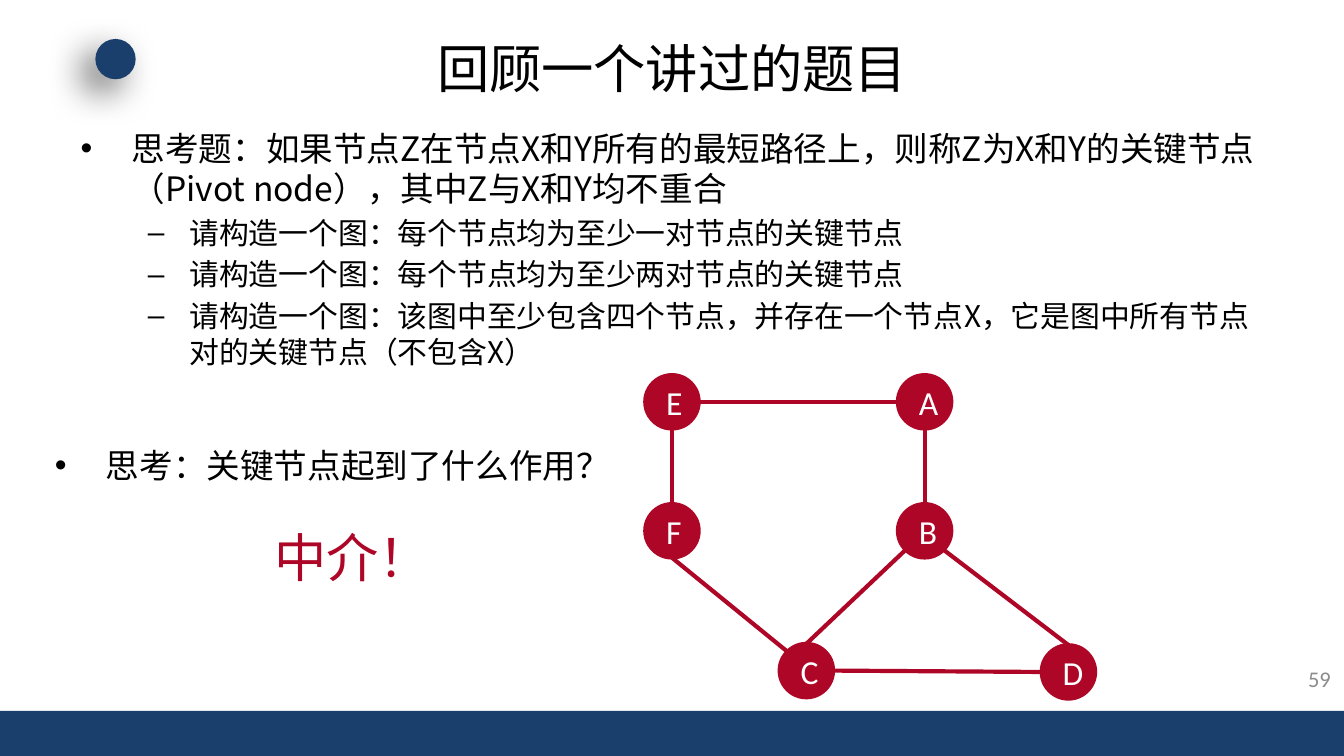
from math import cos, radians, sin

from lxml import etree
from pptx import Presentation
from pptx.dml.color import RGBColor
from pptx.enum.shapes import MSO_CONNECTOR, MSO_SHAPE
from pptx.enum.text import MSO_ANCHOR, PP_ALIGN
from pptx.oxml.ns import qn
from pptx.util import Inches, Pt

RECT, OVAL = MSO_SHAPE.RECTANGLE, MSO_SHAPE.OVAL
STRAIGHT = MSO_CONNECTOR.STRAIGHT
LEFT, CENTER, RIGHT = PP_ALIGN.LEFT, PP_ALIGN.CENTER, PP_ALIGN.RIGHT
TOP, MIDDLE = MSO_ANCHOR.TOP, MSO_ANCHOR.MIDDLE
NAVY, RED, BLACK, WHITE, GREY = "1A3F6C", "AE0627", "000000", "FFFFFF", "8C8C8C"
LATIN, CJK = "Calibri", "Noto Sans CJK SC"

TITLE = "回顾一个讲过的题目"
BODY = [
    (0, "思考题：如果节点Z在节点X和Y所有的最短路径上，则称Z为X和Y的关键节点（Pivot node），其中Z与X和Y均不重合"),
    (1, "请构造一个图：每个节点均为至少一对节点的关键节点"),
    (1, "请构造一个图：每个节点均为至少两对节点的关键节点"),
    (1, "请构造一个图：该图中至少包含四个节点，并存在一个节点X，它是图中所有节点对的关键节点（不包含X）"),
]
QUESTION = "思考：关键节点起到了什么作用？"
ANSWER = "中介！"
PAGE = "59"
LEVELS = [
    {"size": 18, "bullet": "•", "margin": 0.38, "hang": 0.38},
    {"size": 16, "bullet": "–", "margin": 0.81, "hang": 0.31},
]
RADIUS = 0.2
NODES = {
    "E": (5, 2.99), "A": (6.88, 2.99), "F": (5, 3.95),
    "B": (6.88, 3.95), "C": (6, 4.99), "D": (7.95, 5),
}
EDGES = [
    ("A", 180, "E", 0), ("F", 270, "E", 90), ("B", 270, "A", 90),
    ("B", 135, "C", 270), ("B", 45, "D", 270), ("C", 0, "D", 180),
    ("C", 225, "F", 90),
]


def rgb(color):
    return RGBColor.from_string(color)


def place(sp, x, y, w, h):
    sp.left, sp.top, sp.width, sp.height = map(Inches, (x, y, w, h))


def write(p, text, size=18, color=BLACK, font=CJK, align=LEFT, before=0,
          bullet=None, margin=0, hang=0):
    p.alignment = align
    p.space_before = Pt(before)
    if bullet:
        pPr = p._p.get_or_add_pPr()
        pPr.set("marL", str(Inches(margin)))
        pPr.set("indent", str(-Inches(hang)))
        etree.SubElement(pPr, qn("a:buFont"), typeface="Arial")
        etree.SubElement(pPr, qn("a:buChar"), char=bullet)
    r = p.add_run()
    r.text = text
    r.font.size = Pt(size)
    r.font.color.rgb = rgb(color)
    r.font.name = font
    etree.SubElement(r._r.get_or_add_rPr(), qn("a:ea"), typeface=font)


def add_shape(s, kind, x, y, w, h, color, line=None):
    sp = s.shapes.add_shape(kind, *map(Inches, (x, y, w, h)))
    sp.fill.solid()
    sp.fill.fore_color.rgb = rgb(color)
    if line:
        sp.line.color.rgb = rgb(color)
        sp.line.width = Pt(line)
    else:
        sp.line.fill.background()
    sp.shadow.inherit = False
    return sp


def add_text(s, box, text, anchor=TOP, **fmt):
    tf = s.shapes.add_textbox(*map(Inches, box)).text_frame
    tf.word_wrap = True
    tf.vertical_anchor = anchor
    write(tf.paragraphs[0], text, **fmt)


def rim(node, angle):
    x, y = NODES[node]
    a = radians(angle)
    return Inches(x + RADIUS * cos(a)), Inches(y + RADIUS * sin(a))


prs = Presentation()
prs.slide_width = Inches(10)
prs.slide_height = prs.slide_width * 9 // 16
s = prs.slides.add_slide(prs.slide_layouts[1])

add_shape(s, RECT, 0, 5.29, 10, 0.34, NAVY)
dot = add_shape(s, OVAL, 0.71, 0.29, 0.3, 0.3, NAVY)
shadow = etree.SubElement(
    dot._element.spPr.find(qn("a:effectLst")), qn("a:outerShdw"),
    blurRad=str(Pt(20)), dist=str(Pt(10)), dir=str(135 * 60000))
black = etree.SubElement(shadow, qn("a:srgbClr"), val=BLACK)
etree.SubElement(black, qn("a:alpha"), val="60000")

title, body = s.placeholders
place(title, 0.5, 0.23, 9, 0.55)
title.text_frame.vertical_anchor = MIDDLE
write(title.text_frame.paragraphs[0], TITLE, size=28, align=CENTER)

place(body, 0.5, 0.9, 9, 2.1)
tf = body.text_frame
for i, (level, text) in enumerate(BODY):
    p = tf.add_paragraph() if i else tf.paragraphs[0]
    p.level = level
    write(p, text, before=3.2 if i else 0, **LEVELS[level])

for name, (x, y) in NODES.items():
    node = add_shape(s, OVAL, x - RADIUS, y - RADIUS, 2 * RADIUS, 2 * RADIUS, RED, 2)
    node.text_frame.vertical_anchor = MIDDLE
    write(node.text_frame.paragraphs[0], name, color=WHITE, font=LATIN, align=CENTER)

for start, start_angle, end, end_angle in EDGES:
    edge = s.shapes.add_connector(STRAIGHT, *rim(start, start_angle), *rim(end, end_angle))
    edge.line.color.rgb = rgb(RED)
    edge.line.width = Pt(2.25)
    etree.SubElement(edge._element.spPr, qn("a:effectLst"))

add_text(s, (0.31, 3.26, 5, 0.4), QUESTION, **LEVELS[0])
add_text(s, (0.45, 3.86, 4.35, 0.57), ANSWER, size=28, color=RED, align=CENTER)
add_text(s, (9.55, 4.9, 0.45, 0.3), PAGE, MIDDLE,
         size=12, color=GREY, font=LATIN, align=RIGHT)

prs.save("out.pptx")
